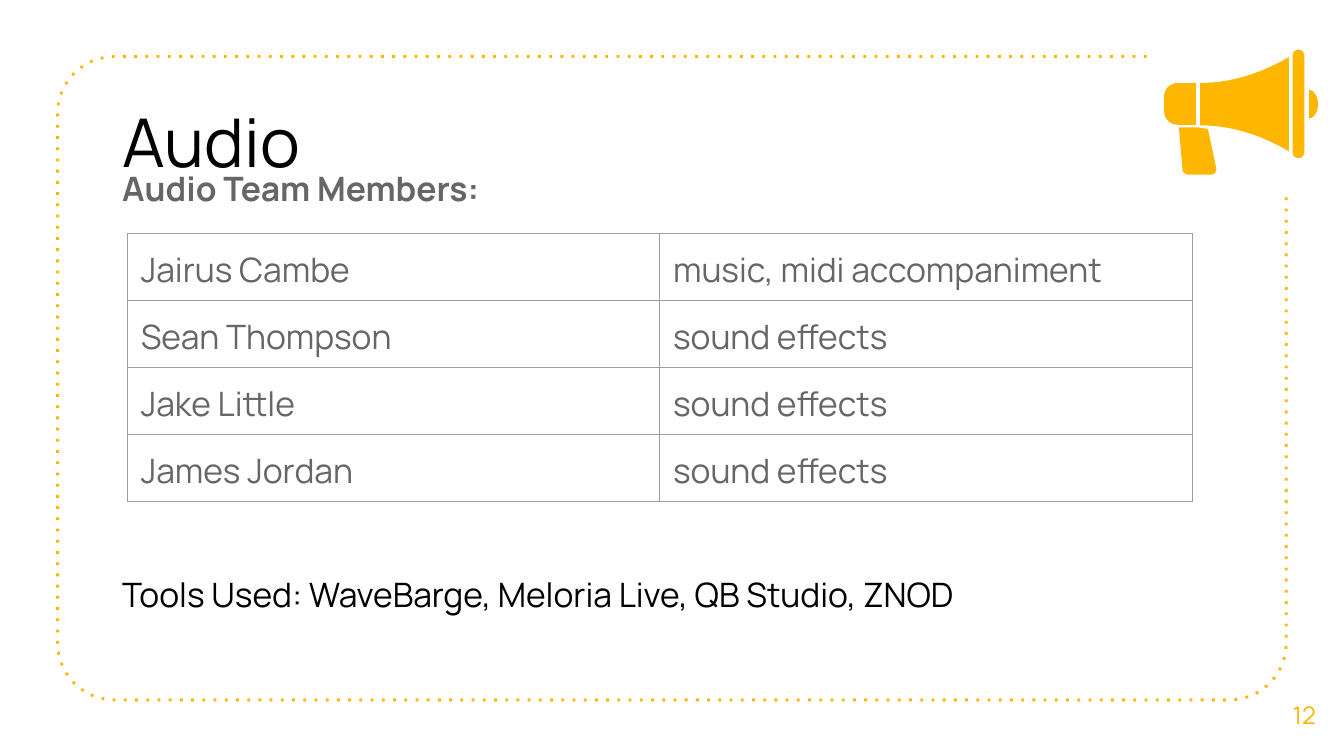
import math

from lxml import etree
from pptx import Presentation
from pptx import util as u
from pptx.dml.color import RGBColor
from pptx.enum import text
from pptx.oxml import ns

AMBER = RGBColor(0xFF, 0xB6, 0x00)
BLACK = RGBColor(0x00, 0x00, 0x00)
GREY = RGBColor(0x66, 0x66, 0x66)
RULE = RGBColor(0x9E, 0x9E, 0x9E)


def arc(x, y, rx, ry, start, end, steps=12):
    angles = [math.radians(start + (end - start) * i / steps) for i in range(steps + 1)]
    return [(x + rx * math.cos(a), y + ry * math.sin(a)) for a in angles]


def bell(left, right, middle, narrow, wide, steps=12):
    upper = []
    for i in range(steps + 1):
        t = i / steps
        upper.append((left + (right - left) * t, middle - narrow - (wide - narrow) * t * t))
    return upper + [(x, 2 * middle - y) for x, y in reversed(upper)]


class SlideWriter:
    font = "Manrope"
    margin = u.Cm(0.25)
    margins = ("margin_left", "margin_right", "margin_top", "margin_bottom")

    def __init__(self, page):
        self.page = page

    def format_text(self, para, words, color, **values):
        span = para.add_run()
        span.text = words
        for key, value in {"name": self.font, "size": u.Pt(18), **values}.items():
            setattr(span.font, key, value)
        span.font.color.rgb = color

    def set_margins(self, target):
        for side in self.margins:
            setattr(target, side, self.margin)

    def text_box(self, place, lines, anchor=text.MSO_ANCHOR.TOP, align=text.PP_ALIGN.LEFT):
        frame = self.page.shapes.add_textbox(*map(u.Cm, place)).text_frame
        frame.word_wrap = True
        frame.vertical_anchor = anchor
        self.set_margins(frame)
        for index, (words, color, gap, values) in enumerate(lines):
            para = frame.add_paragraph() if index else frame.paragraphs[0]
            para.alignment = align
            para.space_before = u.Pt(gap)
            self.format_text(para, words, color, **values)

    def outline(self, points, parent=None, close=True):
        corners = [(u.Cm(x), u.Cm(y)) for x, y in points]
        builder = (parent or self.page).shapes.build_freeform(*corners[0])
        builder.add_line_segments(corners[1:], close=close)
        shape = builder.convert_to_shape()
        shape.shadow.inherit = False
        return shape

    def dotted_frame(self, points):
        shape = self.outline(points, close=False)
        shape.fill.background()
        shape.line.width = u.Pt(1.5)
        shape.line.color.rgb = AMBER
        line = shape._element.spPr.find(ns.qn("a:ln"))
        etree.SubElement(line, ns.qn("a:prstDash"), val="dot")

    def icon(self, parts):
        group = self.page.shapes.add_group_shape()
        for points in parts:
            shape = self.outline(points, group)
            shape.fill.solid()
            shape.fill.fore_color.rgb = AMBER
            shape.line.fill.background()

    def border(self, cell):
        properties = cell._tc.get_or_add_tcPr()
        for index, side in enumerate(("lnL", "lnR", "lnT", "lnB")):
            line = etree.Element(ns.qn(f"a:{side}"), w=str(u.Pt(0.75)))
            fill = etree.SubElement(line, ns.qn("a:solidFill"))
            etree.SubElement(fill, ns.qn("a:srgbClr"), val=str(RULE))
            properties.insert(index, line)

    def table(self, left, top, column_width, row_height, rows):
        columns = len(rows[0])
        size = (column_width * columns, row_height * len(rows))
        table = self.page.shapes.add_table(
            len(rows), columns, *map(u.Cm, (left, top, *size))
        ).table
        table.first_row = table.horz_banding = False
        for r, row in enumerate(rows):
            for c, words in enumerate(row):
                cell = table.cell(r, c)
                cell.fill.background()
                self.set_margins(cell)
                self.border(cell)
                self.format_text(cell.text_frame.paragraphs[0], words, GREY)


def main():
    deck = Presentation()
    deck.slide_width, deck.slide_height = u.Cm(25.4), u.Cm(14.29)
    writer = SlideWriter(deck.slides.add_slide(deck.slide_layouts[6]))

    left, top, right, bottom, radius = 1.09, 1.07, 24.31, 13.23, 1.07
    writer.dotted_frame(
        [(21.67, top)]
        + arc(left + radius, top + radius, radius, radius, 270, 180)
        + arc(left + radius, bottom - radius, radius, radius, 180, 90)
        + arc(right - radius, bottom - radius, radius, radius, 90, 0)
        + [(right, 3.71)]
    )

    writer.text_box((2.06, 1.65, 19.08, 2.39), [("Audio", BLACK, 0, {"size": u.Pt(36)})])
    writer.text_box(
        (23.9, 12.75, 1.5, 1.52),
        [("12", AMBER, 0, {"size": u.Pt(13)})],
        text.MSO_ANCHOR.MIDDLE,
        text.PP_ALIGN.CENTER,
    )
    tools = "Tools Used: WaveBarge, Meloria Live, QB Studio, ZNOD"
    writer.text_box(
        (2.06, 2.92, 22.22, 9.83),
        [
            ("Audio Team Members:", GREY, 0, {"bold": True}),
            (tools, BLACK, 196, {"bold": False}),
        ],
    )

    handle = (
        [(22.28, 2.41)]
        + arc(22.45, 3.2, 0.1, 0.1, 180, 90)
        + arc(22.89, 3.2, 0.1, 0.1, 90, 0)
        + [(22.83, 2.44), (22.66, 2.41)]
    )
    knob = arc(24.74, 1.97, 0.17, 0.27, -90, 90)
    grip = (
        [(22.6, 1.57)]
        + arc(22.26, 1.83, 0.26, 0.26, 270, 180)
        + arc(22.26, 2.1, 0.26, 0.26, 180, 90)
        + [(22.6, 2.36)]
    )
    horn = bell(22.68, 24.36, 1.97, 0.4, 0.89)
    rim = arc(24.54, 1.05, 0.11, 0.11, 180, 360) + arc(24.54, 2.88, 0.11, 0.11, 0, 180)
    writer.icon([handle, knob, grip, horn, rim])

    writer.table(
        2.41, 4.42, 10.06, 1.07,
        [
            ("Jairus Cambe", "music, midi accompaniment"),
            ("Sean Thompson", "sound effects"),
            ("Jake Little", "sound effects"),
            ("James Jordan", "sound effects"),
        ],
    )
    deck.save("out.pptx")


if __name__ == "__main__":
    main()
